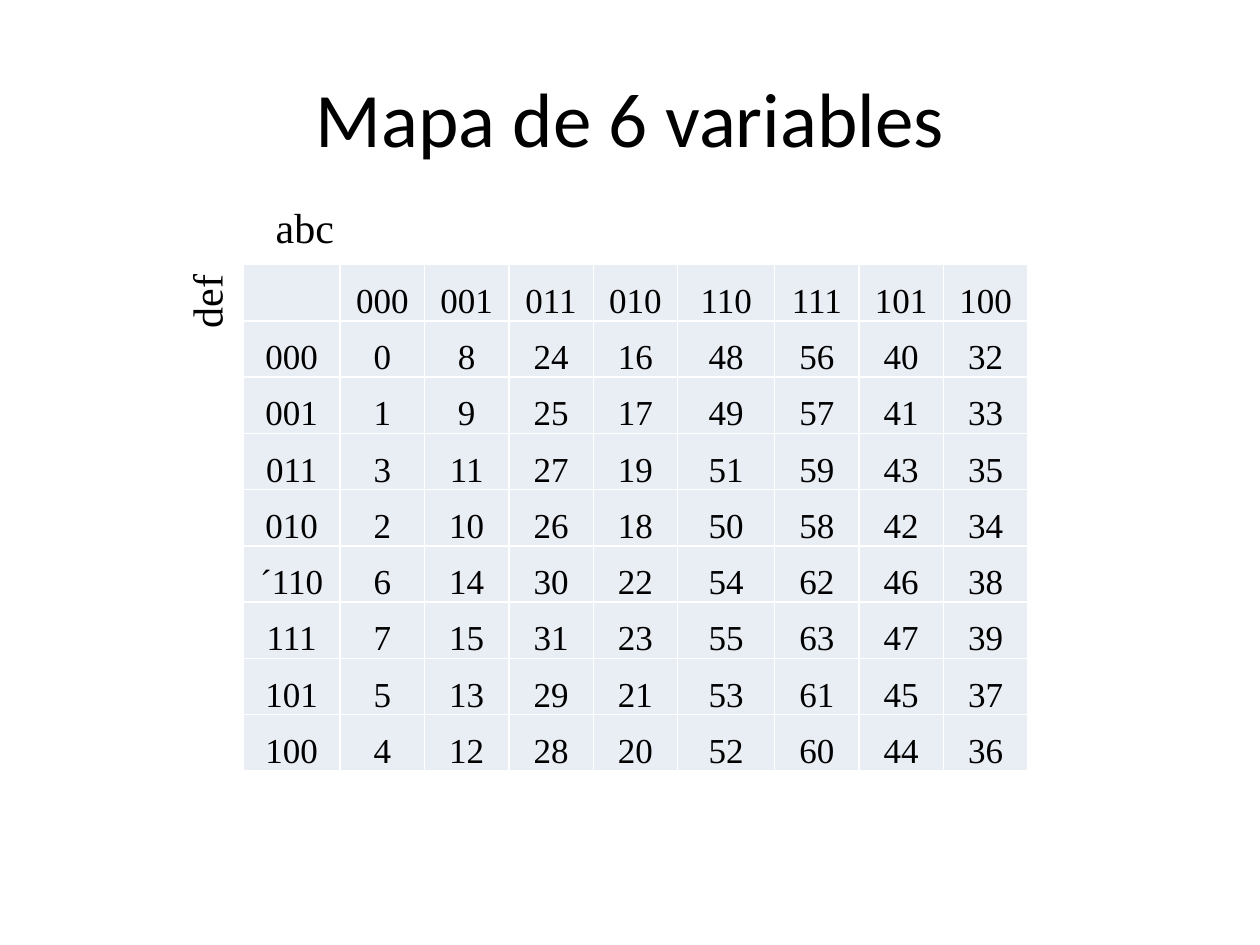
from lxml.etree import SubElement
from pptx import Presentation
from pptx.dml.color import RGBColor
from pptx.enum.text import MSO_ANCHOR, MSO_AUTO_SIZE, PP_ALIGN
from pptx.oxml.ns import qn
from pptx.util import Inches, Pt

TITLE = "Mapa de 6 variables"
COLUMN_CODES = ["000", "001", "011", "010", "110", "111", "101", "100"]
ROW_CODES = ["000", "001", "011", "010", "´110", "111", "101", "100"]
AXIS_LABELS = [  # text, left, top, width, height, rotation
    ("abc", 2.09, 1.55, 0.67, 0.5, 0),
    ("def", 1.32, 2.14, 0.63, 0.5, 270),
]
COLORS = {"text": "000000", "cell": "E9EDF4", "border": "FFFFFF"}
MAP_LEFT, MAP_TOP = 1.93, 2.1
COLUMN_WIDTHS = [0.77 if column in (0, 5) else 0.67 for column in range(9)]
ROW_HEIGHT = 4.02 / 9


def write_text(frame, text, size, font="Times New Roman", align=PP_ALIGN.LEFT):
    paragraph = frame.paragraphs[0]
    paragraph.alignment = align
    run = paragraph.add_run()
    run.text = text
    run.font.size = Pt(size)
    run.font.name = font
    run.font.color.rgb = RGBColor.from_string(COLORS["text"])


def minterm(row_code, column_code):
    """Number of the cell: the column gives the high three bits, the row the low three."""
    return int(column_code, 2) * 8 + int(row_code.strip("´"), 2)


def format_cell(cell):
    cell.vertical_anchor = MSO_ANCHOR.BOTTOM
    cell.margin_left = cell.margin_right = cell.margin_top = Inches(0.01)
    cell.margin_bottom = 0
    cell.fill.solid()
    cell.fill.fore_color.rgb = RGBColor.from_string(COLORS["cell"])
    properties = cell._tc.get_or_add_tcPr()
    for position, side in enumerate(("a:lnL", "a:lnR", "a:lnT", "a:lnB")):
        line = SubElement(properties, qn(side), w=str(Pt(1)))
        fill = SubElement(line, qn("a:solidFill"))
        SubElement(fill, qn("a:srgbClr"), val=COLORS["border"])
        properties.insert(position, line)  # borders come before the cell fill


def add_map(slide):
    rows = [[""] + COLUMN_CODES]
    for row_code in ROW_CODES:
        rows.append([row_code] + [str(minterm(row_code, code)) for code in COLUMN_CODES])
    shape = slide.shapes.add_table(
        len(rows), len(COLUMN_WIDTHS), Inches(MAP_LEFT), Inches(MAP_TOP),
        Inches(sum(COLUMN_WIDTHS)), Inches(ROW_HEIGHT * len(rows)))
    table = shape.table
    table.first_row = table.horz_banding = False
    for column, width in zip(table.columns, COLUMN_WIDTHS):
        column.width = Inches(width)
    for row_index, values in enumerate(rows):
        table.rows[row_index].height = Inches(ROW_HEIGHT)
        for column_index, value in enumerate(values):
            cell = table.cell(row_index, column_index)
            format_cell(cell)
            if value:
                write_text(cell.text_frame, value, 20, align=PP_ALIGN.CENTER)


def add_axis_label(slide, text, left, top, width, height, rotation):
    box = slide.shapes.add_textbox(Inches(left), Inches(top), Inches(width), Inches(height))
    box.rotation = rotation
    box.text_frame.word_wrap = False
    box.text_frame.auto_size = MSO_AUTO_SIZE.SHAPE_TO_FIT_TEXT
    write_text(box.text_frame, text, 24)


def main():
    presentation = Presentation()
    presentation.slide_width, presentation.slide_height = Inches(10), Inches(7.5)
    slide = presentation.slides.add_slide(presentation.slide_layouts[5])

    title = slide.shapes.title
    title.left, title.top = Inches(0.5), Inches(0.3)
    title.width, title.height = Inches(9), Inches(1.25)
    title.text_frame.vertical_anchor = MSO_ANCHOR.MIDDLE
    write_text(title.text_frame, TITLE, 44, font="Calibri", align=PP_ALIGN.CENTER)

    add_map(slide)
    for label in AXIS_LABELS:
        add_axis_label(slide, *label)
    presentation.save("out.pptx")


if __name__ == "__main__":
    main()
